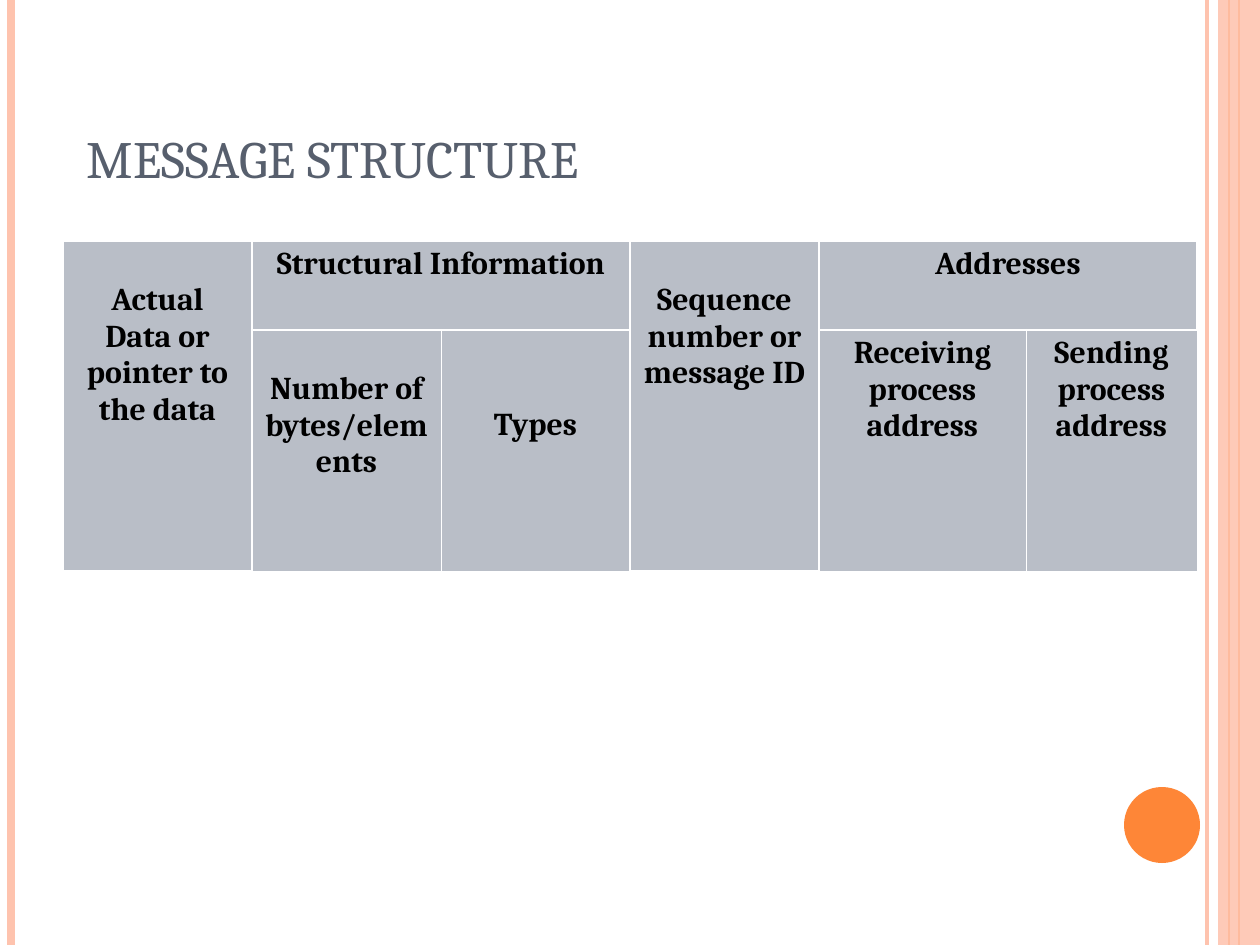
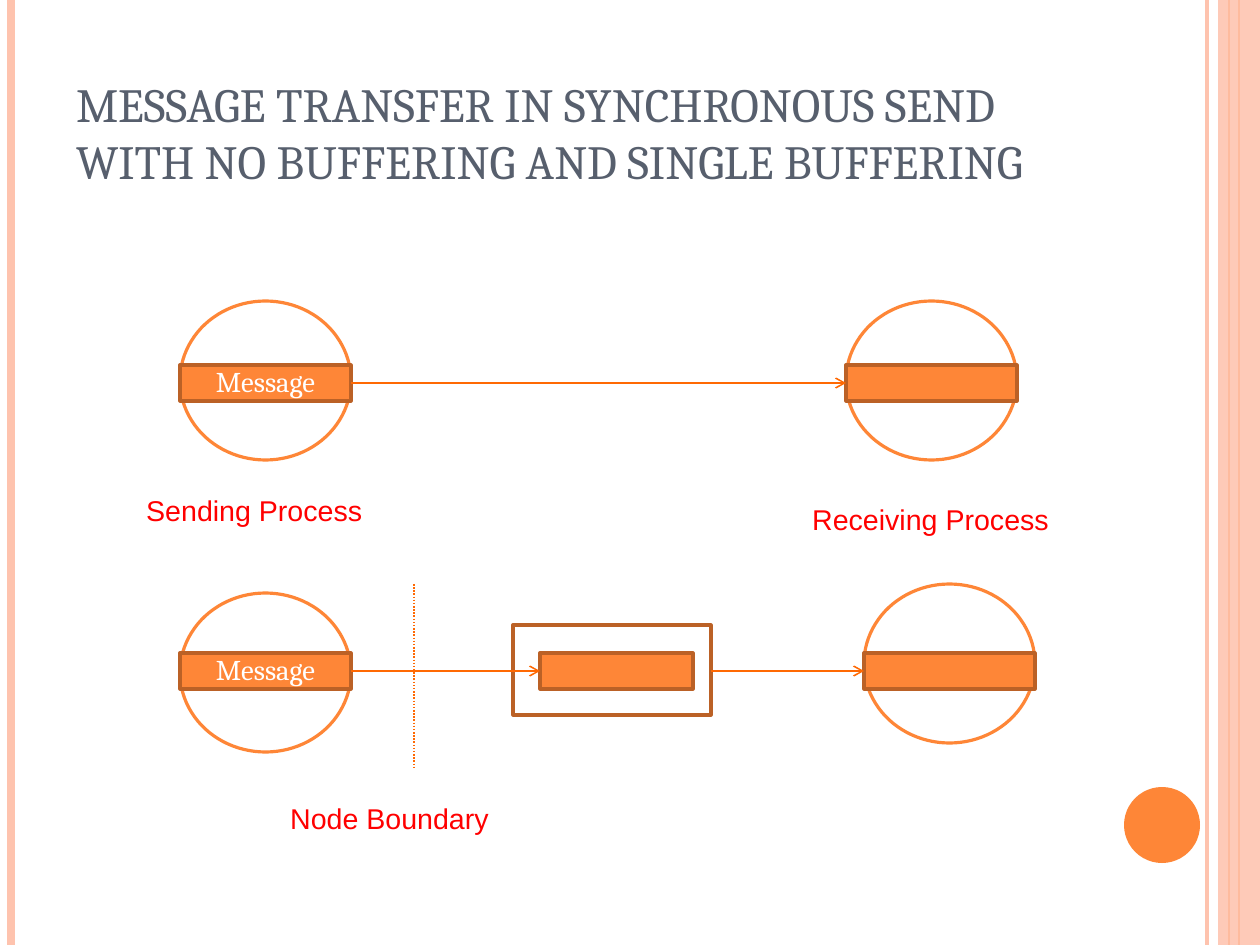
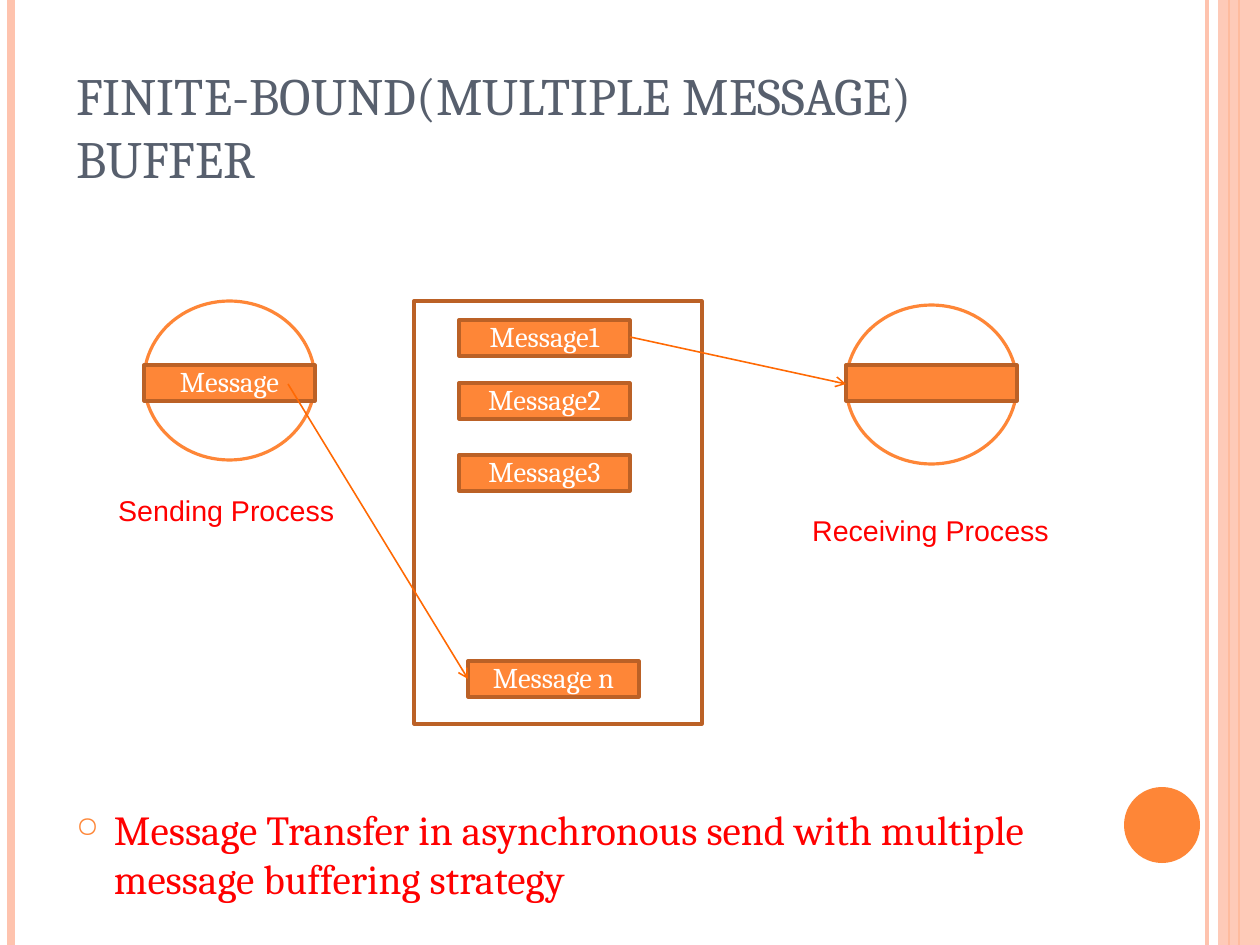
"""Build three slides on message structure, message transfer and message buffering."""
from lxml.etree import SubElement
from pptx import Presentation
from pptx.dml.color import RGBColor
from pptx.enum.dml import MSO_LINE
from pptx.enum.shapes import MSO_CONNECTOR, MSO_SHAPE
from pptx.enum.text import MSO_ANCHOR as ANCHOR, PP_ALIGN as ALIGN
from pptx.oxml.ns import qn
from pptx.util import Pt

PX = 8000
WIDTH, HEIGHT = 1260, 945

WHITE = RGBColor(0xFF, 0xFF, 0xFF)
BLACK = RGBColor(0x00, 0x00, 0x00)
RED = RGBColor(0xFF, 0x00, 0x00)
ORANGE = RGBColor(0xFE, 0x86, 0x37)
BROWN = RGBColor(0xBB, 0x61, 0x26)
ARROW_ORANGE = RGBColor(0xFF, 0x69, 0x03)
PEACH = RGBColor(0xFE, 0xC3, 0xAE)
SLATE = RGBColor(0x57, 0x5F, 0x6D)
GRAY = RGBColor(0xB9, 0xBE, 0xC7)

WIDE_MARGINS = {"margin_left": 13 * PX, "margin_right": 13 * PX,
                "margin_top": 7 * PX, "margin_bottom": 7 * PX}
TEXT_STYLES = {
    "title": {"frame": {"word_wrap": True, "vertical_anchor": ANCHOR.BOTTOM, **WIDE_MARGINS},
              "paragraph": {}, "font": {"name": "Cambria"}, "color": SLATE},
    "body": {"frame": {"word_wrap": True, **WIDE_MARGINS},
             "paragraph": {}, "font": {"name": "Cambria", "size": Pt(26)}, "color": RED},
    "label": {"frame": {"word_wrap": True}, "paragraph": {"line_spacing": 0.94},
              "font": {"name": "Arial", "size": Pt(18)}, "color": RED},
    "message": {"frame": {"word_wrap": True, "vertical_anchor": ANCHOR.MIDDLE},
                "paragraph": {"alignment": ALIGN.CENTER, "line_spacing": 0.94},
                "font": {"name": "Cambria", "size": Pt(18)}, "color": WHITE},
    "cell": {"frame": {}, "paragraph": {"alignment": ALIGN.CENTER},
             "font": {"name": "Cambria", "size": Pt(20), "bold": True}, "color": BLACK},
}
SHAPE_STYLES = {
    "band": (MSO_SHAPE.RECTANGLE, PEACH, None),
    "dot": (MSO_SHAPE.OVAL, ORANGE, None),
    "process": (MSO_SHAPE.OVAL, WHITE, ORANGE),
    "buffer": (MSO_SHAPE.RECTANGLE, WHITE, BROWN),
    "message": (MSO_SHAPE.RECTANGLE, ORANGE, BROWN),
}
STRIPES = [(1207, PEACH, 3), (11, PEACH, 4.5), (1239, ORANGE, 1.5), (1229, ORANGE, 0.75)]
DECORATIONS = [("band", 1218, 0, 42, HEIGHT, ""), ("dot", 1124, 787, 76, 76, "")]
PROCESS_WIDTH, PROCESS_HEIGHT, MESSAGE_HEIGHT = 171, 159, 36

SLIDES = [
    {"title": ("MESSAGE STRUCTURE", 33, 74)},
    {"title": ("MESSAGE TRANSFER IN SYNCHRONOUS SEND WITH NO BUFFERING AND SINGLE BUFFERING", 30, 63),
     "processes": [(180, 301, 365, "Message"), (846, 301, 365, ""),
                   (180, 593, 653, "Message"), (864, 584, 653, "")],
     "buffer": (513, 625, 198, 90),
     "messages": [(540, 653, 153, "")],
     "arrows": [(351, 383, 846, 383), (351, 671, 540, 671), (711, 671, 864, 671)],
     "boundary": (414, 584, 414, 769),
     "labels": [("Sending Process", 135, 490, 251), ("Receiving Process", 801, 499, 288),
                ("Node Boundary", 279, 798, 251)]},
    {"title": ("FINITE-BOUND(MULTIPLE MESSAGE) BUFFER", 33, 63),
     "processes": [(144, 301, 365, "Message"), (846, 305, 365, "")],
     "buffer": (414, 301, 288, 423),
     "messages": [(459, 320, 171, "Message1"), (459, 383, 171, "Message2"),
                  (459, 455, 171, "Message3"), (468, 661, 171, "Message n")],
     "arrows": [(288, 384, 468, 679), (630, 337, 846, 384)],
     "labels": [("Sending Process", 107, 490, 251), ("Receiving Process", 801, 510, 279)],
     "body": "Message Transfer in asynchronous send with multiple message buffering strategy"},
]


def write_text(frame, text, style_name, **font_format):
    style = TEXT_STYLES[style_name]
    for name, value in style["frame"].items():
        setattr(frame, name, value)
    frame.text = text
    for paragraph in frame.paragraphs:
        for name, value in style["paragraph"].items():
            setattr(paragraph, name, value)
        for run in paragraph.runs:
            for name, value in {**style["font"], **font_format}.items():
                setattr(run.font, name, value)
            run.font.color.rgb = style["color"]


def draw_line(slide, points, color, width):
    line = slide.shapes.add_connector(MSO_CONNECTOR.STRAIGHT, *[point * PX for point in points])
    line.line.color.rgb = color
    line.line.width = Pt(width)
    properties = line.element.find(qn("p:spPr"))
    SubElement(properties, qn("a:effectLst"))
    return line


presentation = Presentation()
presentation.slide_width = WIDTH * PX
presentation.slide_height = HEIGHT * PX

for content in SLIDES:
    slide = presentation.slides.add_slide(presentation.slide_layouts[6])
    for x, color, width in STRIPES:
        draw_line(slide, (x, 0, x, HEIGHT), color, width)

    blocks = list(DECORATIONS)
    for left, circle_top, message_top, text in content.get("processes", []):
        blocks.append(("process", left, circle_top, PROCESS_WIDTH, PROCESS_HEIGHT, ""))
        blocks.append(("message", left, message_top, PROCESS_WIDTH, MESSAGE_HEIGHT, text))
    if "buffer" in content:
        blocks.append(("buffer", *content["buffer"], ""))
    for left, top, width, text in content.get("messages", []):
        blocks.append(("message", left, top, width, MESSAGE_HEIGHT, text))

    for style_name, left, top, width, height, text in blocks:
        preset, fill_color, line_color = SHAPE_STYLES[style_name]
        shape = slide.shapes.add_shape(preset, left * PX, top * PX, width * PX, height * PX)
        shape.shadow.inherit = False
        shape.fill.solid()
        shape.fill.fore_color.rgb = fill_color
        if line_color is None:
            shape.line.fill.background()
        else:
            shape.line.color.rgb = line_color
            shape.line.width = Pt(2)
        if style_name == "band":
            SubElement(next(shape.element.iter(qn("a:srgbClr"))), qn("a:alpha"), val="87000")
        if text:
            write_text(shape.text_frame, text, "message")

    for points in content.get("arrows", []):
        arrow = draw_line(slide, points, ARROW_ORANGE, 1)
        SubElement(next(arrow.element.iter(qn("a:ln"))), qn("a:tailEnd"), type="arrow")
    if "boundary" in content:
        boundary = draw_line(slide, content["boundary"], ARROW_ORANGE, 1)
        boundary.line.dash_style = MSO_LINE.ROUND_DOT

    title, size, left = content["title"]
    title_box = slide.shapes.add_textbox(left * PX, 38 * PX, 1029 * PX, 158 * PX)
    write_text(title_box.text_frame, title, "title", size=Pt(size))
    for text, left, top, width in content.get("labels", []):
        label_box = slide.shapes.add_textbox(left * PX, top * PX, width * PX, 43 * PX)
        write_text(label_box.text_frame, text, "label")
    if "body" in content:
        body_box = slide.shapes.add_textbox(63 * PX, 797 * PX, 1029 * PX, 113 * PX)
        write_text(body_box.text_frame, content["body"], "body")
        bullet = body_box.text_frame.paragraphs[0]._p.get_or_add_pPr()
        bullet.set("marL", str(38 * PX))
        bullet.set("indent", str(-38 * PX))
        SubElement(SubElement(bullet, qn("a:buClr")), qn("a:srgbClr"), val=str(ORANGE))
        SubElement(bullet, qn("a:buSzPct"), val="70000")
        SubElement(bullet, qn("a:buChar"), char="○")

COLUMN_WIDTHS = [189, 189, 189, 189, 207, 171]
ROW_HEIGHTS = [89, 241]
MERGES = [(0, 0, 1, 0), (0, 1, 0, 2), (0, 3, 1, 3), (0, 4, 0, 5)]
CELL_MARGIN, CELL_LINE = 5, 36
CELL_TEXTS = [
    (0, 0, 1, "Actual Data or pointer to the data"),
    (0, 1, 0, "Structural Information"),
    (0, 3, 1, "Sequence number or message ID"),
    (0, 4, 0, "Addresses"),
    (1, 1, 1, "Number of bytes/elements"),
    (1, 2, 2, "Types"),
    (1, 4, 0, "Receiving process address"),
    (1, 5, 0, "Sending process\naddress"),
]
THIN, THICK = Pt(0.45), Pt(1.47)

table = presentation.slides[0].shapes.add_table(
    len(ROW_HEIGHTS), len(COLUMN_WIDTHS), 63 * PX, 241 * PX,
    sum(COLUMN_WIDTHS) * PX, sum(ROW_HEIGHTS) * PX).table
table.first_row = table.horz_banding = False
for column, width in zip(table.columns, COLUMN_WIDTHS):
    column.width = width * PX
for row, height in zip(table.rows, ROW_HEIGHTS):
    row.height = height * PX

for row_index in range(len(ROW_HEIGHTS)):
    for column_index in range(len(COLUMN_WIDTHS)):
        cell = table.cell(row_index, column_index)
        borders = {
            "a:lnL": THIN if column_index in (0, 2, 5) else THICK,
            "a:lnR": THIN if column_index == 5 or (row_index, column_index) in ((1, 1), (1, 4)) else THICK,
            "a:lnT": THICK if row_index else THIN,
            "a:lnB": THIN if row_index else THICK,
        }
        for tag, width in borders.items():
            border = SubElement(cell._tc.get_or_add_tcPr(), qn(tag), w=str(int(width)))
            SubElement(SubElement(border, qn("a:solidFill")), qn("a:srgbClr"), val=str(WHITE))
        cell.fill.solid()
        cell.fill.fore_color.rgb = GRAY

for first_row, first_column, last_row, last_column in MERGES:
    table.cell(first_row, first_column).merge(table.cell(last_row, last_column))
for row_index, column_index, skipped_lines, text in CELL_TEXTS:
    cell = table.cell(row_index, column_index)
    cell.margin_left = cell.margin_right = 12 * PX
    cell.margin_top = (CELL_MARGIN + skipped_lines * CELL_LINE) * PX
    cell.margin_bottom = CELL_MARGIN * PX
    write_text(cell.text_frame, text, "cell")

presentation.save("out.pptx")
